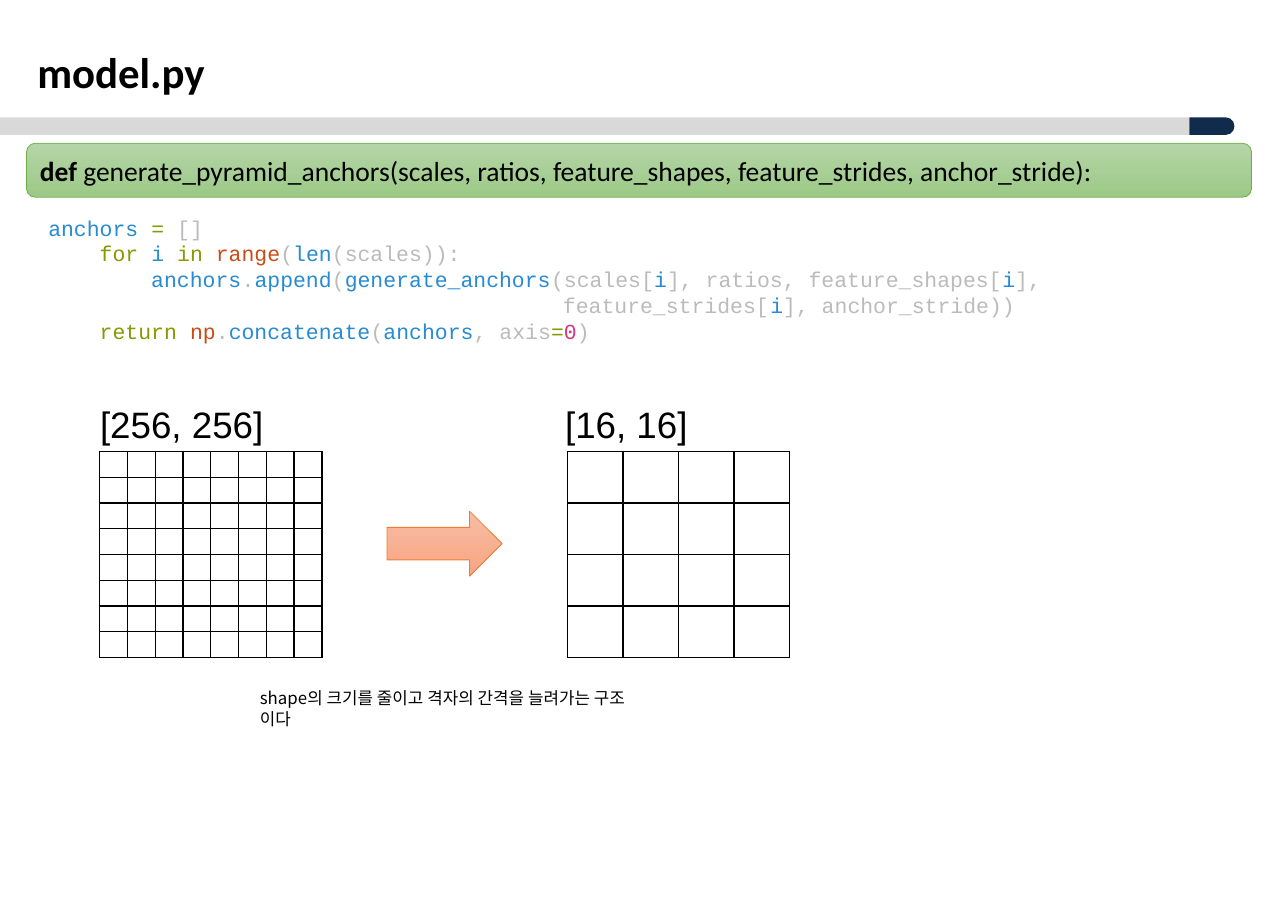
from lxml import etree
from pptx import Presentation
from pptx.dml.color import RGBColor
from pptx.enum.shapes import MSO_SHAPE
from pptx.enum.text import MSO_ANCHOR, PP_ALIGN
from pptx.oxml.ns import qn
from pptx.util import Pt

RECT = MSO_SHAPE.RECTANGLE
ROUND_RECT = MSO_SHAPE.ROUNDED_RECTANGLE
ROUND_TOP = MSO_SHAPE.ROUND_2_SAME_RECTANGLE
RIGHT_ARROW = MSO_SHAPE.RIGHT_ARROW
MIDDLE = MSO_ANCHOR.MIDDLE
LEFT = PP_ALIGN.LEFT

BLACK = RGBColor(0x00, 0x00, 0x00)
NAVY = RGBColor(0x10, 0x2B, 0x4C)
SILVER = RGBColor(0xD9, 0xD9, 0xD9)
GREEN_LIGHT = RGBColor(0xB5, 0xD5, 0xA7)
GREEN_DARK = RGBColor(0x9C, 0xC9, 0x87)
GREEN_LINE = RGBColor(0x70, 0xAD, 0x47)
ORANGE_LIGHT = RGBColor(0xF7, 0xBD, 0xA5)
ORANGE_DARK = RGBColor(0xF8, 0xA5, 0x82)
ORANGE_LINE = RGBColor(0xED, 0x7D, 0x31)
NAME = RGBColor(0x26, 0x8B, 0xD2)
KEYWORD = RGBColor(0x85, 0x99, 0x00)
PLAIN = RGBColor(0xBB, 0xBB, 0xBB)
BUILTIN = RGBColor(0xCB, 0x4B, 0x16)
NUMBER = RGBColor(0xD3, 0x36, 0x82)

CODE = [
    [("anchors ", NAME), ("=", KEYWORD), (" []", PLAIN)],
    [("    for ", KEYWORD), ("i ", NAME), ("in ", KEYWORD), ("range", BUILTIN),
     ("(", PLAIN), ("len", NAME), ("(scales)):", PLAIN)],
    [("        anchors", NAME), (".", PLAIN), ("append", NAME), ("(", PLAIN),
     ("generate_anchors", NAME), ("(scales[", PLAIN), ("i", NAME),
     ("], ratios, feature_shapes[", PLAIN), ("i", NAME), ("],", PLAIN)],
    [("                                        feature_strides[", PLAIN),
     ("i", NAME), ("], anchor_stride))", PLAIN)],
    [("    return ", KEYWORD), ("np", BUILTIN), (".", PLAIN),
     ("concatenate", NAME), ("(", PLAIN), ("anchors", NAME),
     (", axis", PLAIN), ("=", KEYWORD), ("0", NUMBER), (")", PLAIN)],
]


class SlideBuilder:
    title_font = "Calibri"
    label_font = "Arial"
    code_font = "Courier New"
    note_font = "Noto Sans CJK KR"

    def __init__(self, slide):
        self.shapes = slide.shapes

    def format_run(self, r, font, size, color=BLACK, bold=False):
        r.font.name = font
        r.font.size = Pt(size)
        r.font.bold = bold
        r.font.color.rgb = color
        ea = etree.SubElement(r.font._element, qn("a:ea"))
        ea.set("typeface", font)

    def shape(self, kind, x, y, w, h, color):
        sp = self.shapes.add_shape(kind, Pt(x), Pt(y), Pt(w), Pt(h))
        sp.shadow.inherit = False
        sp.fill.solid()
        sp.fill.fore_color.rgb = color
        sp.line.fill.background()
        return sp

    def gradient_shape(self, kind, x, y, w, h, colors, line):
        sp = self.shape(kind, x, y, w, h, colors[0])
        sp.fill.gradient()
        sp.fill.gradient_angle = 270
        for stop, color in zip(sp.fill.gradient_stops, colors):
            stop.color.rgb = color
        sp.line.color.rgb = line
        sp.line.width = Pt(0.5)
        return sp

    def text(self, x, y, w, h, text, font, size, bold=False, wrap=False):
        sp = self.shapes.add_textbox(Pt(x), Pt(y), Pt(w), Pt(h))
        tf = sp.text_frame
        tf.word_wrap = wrap
        tf.text = text
        self.format_run(tf.paragraphs[0].runs[0], font, size, bold=bold)
        return tf

    def code(self, x, y, w, h, lines, size, spacing):
        tf = self.shapes.add_textbox(Pt(x), Pt(y), Pt(w), Pt(h)).text_frame
        tf.word_wrap = True
        for i, line in enumerate(lines):
            p = tf.add_paragraph() if i else tf.paragraphs[0]
            p.line_spacing = Pt(spacing)
            for token, color in line:
                r = p.add_run()
                r.text = token
                self.format_run(r, self.code_font, size, color)

    def grid(self, x, y, w, h, count):
        table = self.shapes.add_table(
            count, count, Pt(x), Pt(y), Pt(w), Pt(h)).table
        table.first_row = table.horz_banding = False
        for col in table.columns:
            col.width = Pt(w / count)
        for row in table.rows:
            row.height = Pt(h / count)
        for cell in table.iter_cells():
            cell.margin_top = cell.margin_bottom = 0
            end = etree.SubElement(
                cell.text_frame.paragraphs[0]._p, qn("a:endParaRPr"))
            end.set("sz", "800")
            self.borders(cell)
            cell.fill.background()

    def borders(self, cell):
        tc_pr = cell._tc.get_or_add_tcPr()
        for side in ("lnL", "lnR", "lnT", "lnB"):
            ln = etree.SubElement(tc_pr, qn("a:" + side), w=str(Pt(1)))
            fill = etree.SubElement(ln, qn("a:solidFill"))
            etree.SubElement(fill, qn("a:srgbClr"), val=str(BLACK))


def main():
    prs = Presentation()
    prs.slide_width, prs.slide_height = Pt(841.68), Pt(595.44)
    s = SlideBuilder(prs.slides.add_slide(prs.slide_layouts[6]))

    cap = s.shape(ROUND_TOP, 786.2, 67.7, 11.5, 29.5, NAVY)
    cap.rotation = 90
    cap.adjustments[0] = 0.5
    s.shape(RECT, 0, 76.7, 777, 11.5, SILVER)
    s.text(17.3, 26.6, 125.3, 41, "model.py", s.title_font, 28, bold=True)

    banner = s.gradient_shape(ROUND_RECT, 17.3, 93.6, 800.6, 35.3,
                              (GREEN_LIGHT, GREEN_DARK), GREEN_LINE)
    tf = banner.text_frame
    tf.word_wrap = True
    tf.vertical_anchor = MIDDLE
    p = tf.paragraphs[0]
    p.alignment = LEFT
    signature = (" generate_pyramid_anchors(scales, ratios, feature_shapes, "
                 "feature_strides, anchor_stride):")
    for text, bold in (("def", True), (signature, False)):
        r = p.add_run()
        r.text = text
        s.format_run(r, s.title_font, 18, bold=bold)

    s.code(24.5, 136.8, 768.2, 92.2, CODE, 14, 16.8)

    s.grid(65.2, 295.2, 145.2, 134.6, 8)
    s.grid(370.8, 295.2, 145.2, 134.6, 4)
    s.text(58.3, 259.2, 132.5, 36, "[256, 256]", s.label_font, 24)
    s.text(362.2, 259.2, 105.1, 36, "[16, 16]", s.label_font, 24)
    s.gradient_shape(RIGHT_ARROW, 252.9, 334.1, 75.2, 42.5,
                     (ORANGE_LIGHT, ORANGE_DARK), ORANGE_LINE)

    note = s.text(162.7, 445.7, 271.4, 34.4,
                  "shape의 크기를 줄이고 격자의 간격을 늘려가는 구조 이다",
                  s.note_font, 11, wrap=True)
    note.paragraphs[0].line_spacing = Pt(13.6)

    prs.save("out.pptx")


if __name__ == "__main__":
    main()
